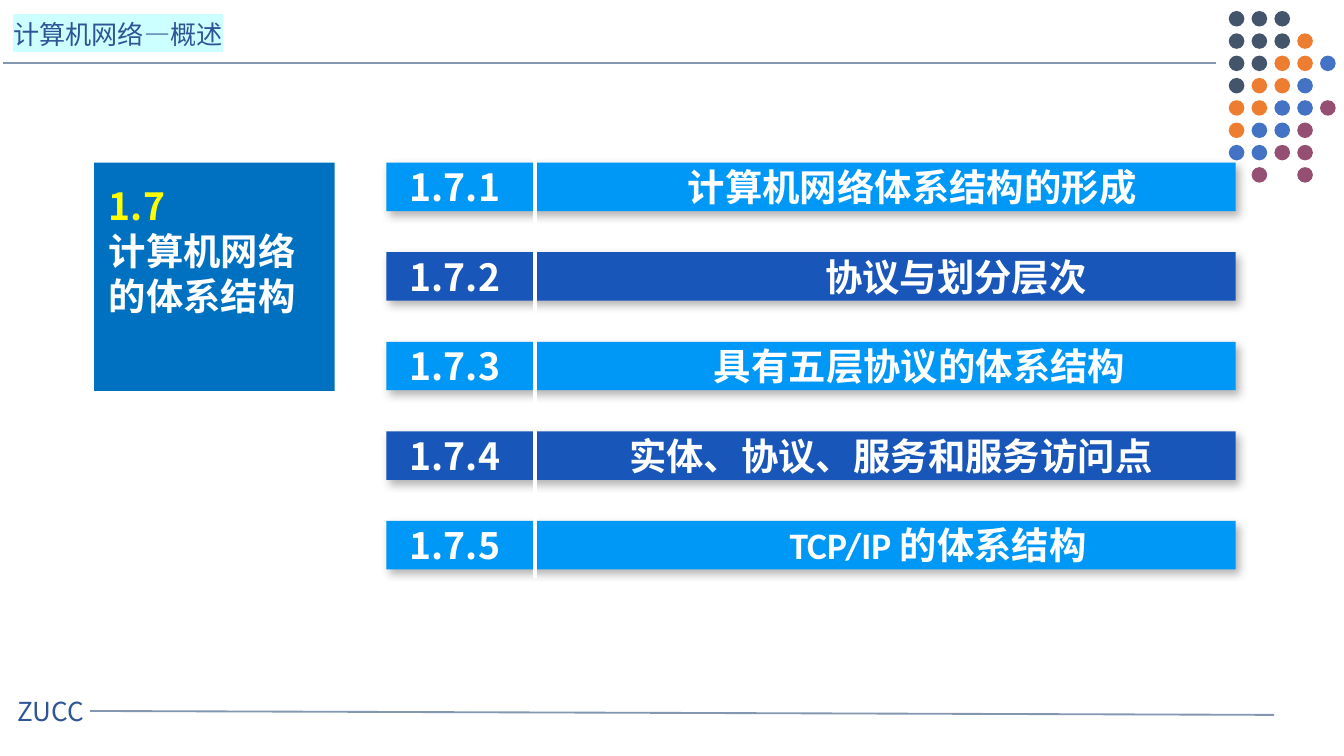
from lxml.etree import SubElement
from pptx import Presentation
from pptx.dml.color import RGBColor
from pptx.enum.shapes import MSO_CONNECTOR as Connector, MSO_SHAPE as Shape
from pptx.enum.text import MSO_ANCHOR as Anchor, MSO_AUTO_SIZE as AutoSize, PP_ALIGN as Align
from pptx.oxml.ns import qn
from pptx.util import Pt

WHITE = RGBColor(0xFF, 0xFF, 0xFF)
YELLOW = RGBColor(0xFF, 0xFF, 0x00)
LABEL_BLUE = RGBColor(0x2F, 0x55, 0x97)
RULE_GREY = RGBColor(0x84, 0x97, 0xB0)
CARD_BLUE = RGBColor(0x00, 0x70, 0xC0)
SKY = RGBColor(0x00, 0x98, 0xF6)
ROYAL = RGBColor(0x19, 0x56, 0xB9)
LABEL_MARK = RGBColor(0xCC, 0xFF, 0xFF)
DOT_COLOURS = {
    "N": RGBColor(0x44, 0x54, 0x6A),
    "O": RGBColor(0xED, 0x7D, 0x31),
    "B": RGBColor(0x44, 0x72, 0xC4),
    "P": RGBColor(0x95, 0x4F, 0x72),
}
DOT_ROWS = ["NNN", "NNNO", "NNOOB", "NOOB", "OOBBP", "OBBP", "BBPP", ".P.P"]
SECTIONS = [
    ("1.7.1", "计算机网络体系结构的形成", 149),
    ("1.7.2", "协议与划分层次", 222.5),
    ("1.7.3", "具有五层协议的体系结构", 163),
    ("1.7.4", "实体、协议、服务和服务访问点", 117.5),
    ("1.7.5", "TCP/IP 的体系结构", 203.5),
]
BAR_TOP, BAR_PITCH = 87.1, 48


class SlideBuilder:
    cjk_font = "Noto Sans CJK SC"
    latin_font = "Calibri"
    heading_size, heading_line = 20, 24.2
    label_size, label_line = 14, 17

    def __init__(self, page):
        self.page = page

    def shape(self, kind, left, top, width, height, fill, parent=None):
        shape = (parent or self.page).shapes.add_shape(
            kind, Pt(left), Pt(top), Pt(width), Pt(height))
        shape.fill.solid()
        shape.fill.fore_color.rgb = fill
        shape.line.fill.background()
        shape.shadow.inherit = False
        return shape

    def bar(self, top, fill):
        bar = self.shape(Shape.RECTANGLE, 207, top, 455, 26, fill)
        effects = bar.element.spPr.find(qn("a:effectLst"))
        shadow = SubElement(effects, qn("a:outerShdw"), blurRad=str(Pt(4.5)),
                            dist=str(Pt(2.6)), dir=str(53 * 60000),
                            algn="tl", rotWithShape="0")
        colour = SubElement(shadow, qn("a:srgbClr"), val="000000")
        SubElement(colour, qn("a:alpha"), val="30000")

    def line(self, start, end, colour, width):
        line = self.page.shapes.add_connector(
            Connector.STRAIGHT, *(Pt(value) for value in (*start, *end)))
        line.line.color.rgb = colour
        line.line.width = Pt(width)
        SubElement(line.element.spPr, qn("a:effectLst"))

    def dots(self, left, top):
        group = self.page.shapes.add_group_shape()
        for row, pattern in enumerate(DOT_ROWS):
            for column, key in enumerate(pattern):
                if key in DOT_COLOURS:
                    self.shape(Shape.OVAL, left + 12.22 * column, top + 11.95 * row,
                               8.4, 8.3, DOT_COLOURS[key], group)

    def frame(self, box, left, top, width, height):
        box.left, box.top, box.width, box.height = (
            Pt(value) for value in (left, top, width, height))
        frame = box.text_frame
        frame.word_wrap = True
        frame.auto_size = AutoSize.NONE
        frame.vertical_anchor = Anchor.TOP
        return frame

    def text_frame(self, left, top, width, height):
        box = self.page.shapes.add_textbox(0, 0, 0, 0)
        return self.frame(box, left, top, width, height)

    def paragraph(self, frame, position, size, line, colour, bold, before=0, tab=None):
        para = frame.paragraphs[0] if position == 0 else frame.add_paragraph()
        if tab:
            tabs = SubElement(para._p.get_or_add_pPr(), qn("a:tabLst"))
            SubElement(tabs, qn("a:tab"), pos=str(Pt(tab)), algn="l")
        para.alignment = Align.LEFT
        para.line_spacing = Pt(line)
        para.space_before = Pt(before if position else 0)
        para.space_after = Pt(0)
        para.font.size = Pt(size)
        para.font.bold = bold
        para.font.color.rgb = colour
        return para

    def span(self, para, text, font, mark=None):
        span = para.add_run()
        span.text = text
        properties = span._r.get_or_add_rPr()
        if mark:
            highlight = SubElement(properties, qn("a:highlight"))
            SubElement(highlight, qn("a:srgbClr"), val=str(mark))
        span.font.name = font
        SubElement(properties, qn("a:ea"), typeface=self.cjk_font)

    def label(self, text, left, top, width, mark=None):
        frame = self.text_frame(left, top, width, 24.5)
        para = self.paragraph(frame, 0, self.label_size, self.label_line, LABEL_BLUE, False)
        self.span(para, text, self.cjk_font, mark)

    def title(self, lines, left, top, width, height):
        box = self.page.shapes.title
        box.element.getparent().append(box.element)
        frame = self.frame(box, left, top, width, height)
        for position, (text, colour) in enumerate(lines):
            para = self.paragraph(frame, position, self.heading_size,
                                  self.heading_line, colour, True)
            self.span(para, text, self.cjk_font)

    def section_list(self, left, top, width, height):
        frame = self.text_frame(left, top, width, height)
        for position, (number, name, tab) in enumerate(SECTIONS):
            para = self.paragraph(frame, position, self.heading_size, self.heading_line,
                                  WHITE, True, BAR_PITCH - self.heading_line, tab)
            self.span(para, number + "\t", self.cjk_font)
            self.span(para, name, self.latin_font)


def main():
    deck = Presentation()
    deck.slide_width, deck.slide_height = Pt(720), Pt(405)
    builder = SlideBuilder(deck.slides.add_slide(deck.slide_layouts[5]))

    builder.line((1.4, 33.8), (651.6, 33.8), RULE_GREY, 1)
    builder.line((48.2, 380.9), (682.6, 383), RULE_GREY, 1)
    builder.label("ZUCC", 2.2, 368.8, 64)
    builder.label("计算机网络—概述", 0, 6, 155.5, LABEL_MARK)
    builder.dots(658.3, 5.9)

    for position in range(len(SECTIONS)):
        builder.bar(BAR_TOP + BAR_PITCH * position, ROYAL if position % 2 else SKY)
    builder.line((286.6, 81.4), (286.6, 309.6), WHITE, 2.25)
    builder.section_list(212.4, 84.2, 430.6, 225.4)

    builder.shape(Shape.RECTANGLE, 50.4, 87.1, 128.9, 122.4, CARD_BLUE)
    builder.title([("1.7", YELLOW), ("计算机网络的体系结构", WHITE)], 51.1, 94.2, 128.2, 80)
    deck.save("out.pptx")


if __name__ == "__main__":
    main()
